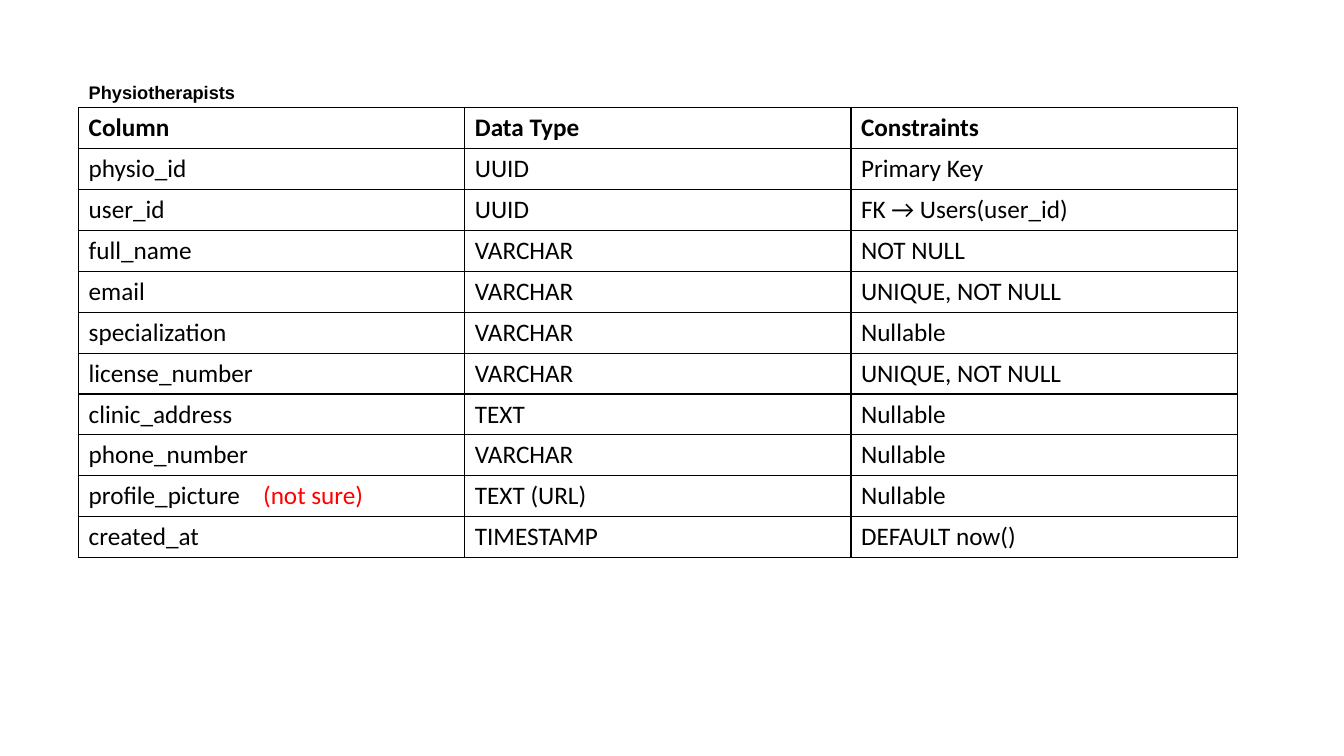
from dataclasses import dataclass

import pptx
import pptx.dml.color
import pptx.enum.text
import pptx.oxml
import pptx.oxml.ns
import pptx.util
from pptx.util import Inches


@dataclass(frozen=True)
class Theme:
    ink: str = "000000"
    alert: str = "FF0000"
    title_font: str = "Arial"
    title_size: int = 13
    body_font: str = "Calibri"
    body_size: int = 18
    border: int = 1


@dataclass(frozen=True)
class Field:
    name: str
    data_type: str
    constraint: str
    remark: str = ""


THEME = Theme()
LEFT, TABLE_TOP, TITLE_TOP = 0.78, 1.07, 0.76
COLUMN_WIDTH, ROW_HEIGHT, REMARK_TAB = 3.83, 0.4, 1.73

HEADER = Field("Column", "Data Type", "Constraints")
FIELDS = [
    Field("physio_id", "UUID", "Primary Key"),
    Field("user_id", "UUID", "FK → Users(user_id)"),
    Field("full_name", "VARCHAR", "NOT NULL"),
    Field("email", "VARCHAR", "UNIQUE, NOT NULL"),
    Field("specialization", "VARCHAR", "Nullable"),
    Field("license_number", "VARCHAR", "UNIQUE, NOT NULL"),
    Field("clinic_address", "TEXT", "Nullable"),
    Field("phone_number", "VARCHAR", "Nullable"),
    Field("profile_picture", "TEXT (URL)", "Nullable", "(not sure)"),
    Field("created_at", "TIMESTAMP", "DEFAULT now()"),
]


def add_run(p, text: str, font: str, size: int, color: str, bold: bool = False) -> None:
    r = p.add_run()
    r.text = text
    formats = {"name": font, "size": pptx.util.Pt(size), "bold": bold}
    for key, value in formats.items():
        setattr(r.font, key, value)
    r.font.color.rgb = pptx.dml.color.RGBColor.from_string(color)


def add_tab_stop(p, position: float) -> None:
    tabs = pptx.oxml.parse_xml(
        f'<a:tabLst {pptx.oxml.ns.nsdecls("a")}>'
        f'<a:tab pos="{Inches(position)}" algn="l"/></a:tabLst>'
    )
    p._p.get_or_add_pPr().append(tabs)


def add_borders(cell) -> None:
    tc_pr = cell._tc.get_or_add_tcPr()
    for i, side in enumerate(("lnL", "lnR", "lnT", "lnB")):
        line = pptx.oxml.parse_xml(
            f'<a:{side} {pptx.oxml.ns.nsdecls("a")} w="{pptx.util.Pt(THEME.border)}">'
            f'<a:solidFill><a:srgbClr val="{THEME.ink}"/></a:solidFill></a:{side}>'
        )
        tc_pr.insert(i, line)


def fill_cell(cell, text: str, remark: str, bold: bool) -> None:
    cell.fill.background()
    cell.vertical_anchor = pptx.enum.text.MSO_ANCHOR.MIDDLE
    add_borders(cell)
    p = cell.text_frame.paragraphs[0]
    if remark:
        add_tab_stop(p, REMARK_TAB)
    add_run(p, text, THEME.body_font, THEME.body_size, THEME.ink, bold)
    if remark:
        add_run(p, "\t" + remark, THEME.body_font, THEME.body_size, THEME.alert)


def add_title(s, text: str) -> None:
    sp = s.shapes.title
    sp.left, sp.top = Inches(LEFT), Inches(TITLE_TOP)
    sp.width, sp.height = Inches(1.82), Inches(TABLE_TOP - TITLE_TOP)
    tf = sp.text_frame
    formats = {
        "word_wrap": True,
        "auto_size": pptx.enum.text.MSO_AUTO_SIZE.NONE,
        "vertical_anchor": pptx.enum.text.MSO_ANCHOR.MIDDLE,
    }
    for key, value in formats.items():
        setattr(tf, key, value)
    p = tf.paragraphs[0]
    p.alignment = pptx.enum.text.PP_ALIGN.LEFT
    add_run(p, text, THEME.title_font, THEME.title_size, THEME.ink, True)


def add_schema_table(s, fields: list[Field]) -> None:
    rows = [HEADER, *fields]
    table = s.shapes.add_table(
        len(rows), 3, Inches(LEFT), Inches(TABLE_TOP),
        Inches(3 * COLUMN_WIDTH), Inches(len(rows) * ROW_HEIGHT),
    ).table
    table.first_row = table.horz_banding = False
    for i, field in enumerate(rows):
        texts = (field.name, field.data_type, field.constraint)
        for j, text in enumerate(texts):
            remark = field.remark if j == 0 else ""
            fill_cell(table.cell(i, j), text, remark, bold=field is HEADER)


def main() -> None:
    prs = pptx.Presentation()
    prs.slide_width, prs.slide_height = Inches(13.33), Inches(7.5)
    s = prs.slides.add_slide(prs.slide_layouts[5])  # title only
    add_title(s, "Physiotherapists")
    add_schema_table(s, FIELDS)
    prs.save("out.pptx")


if __name__ == "__main__":
    main()
